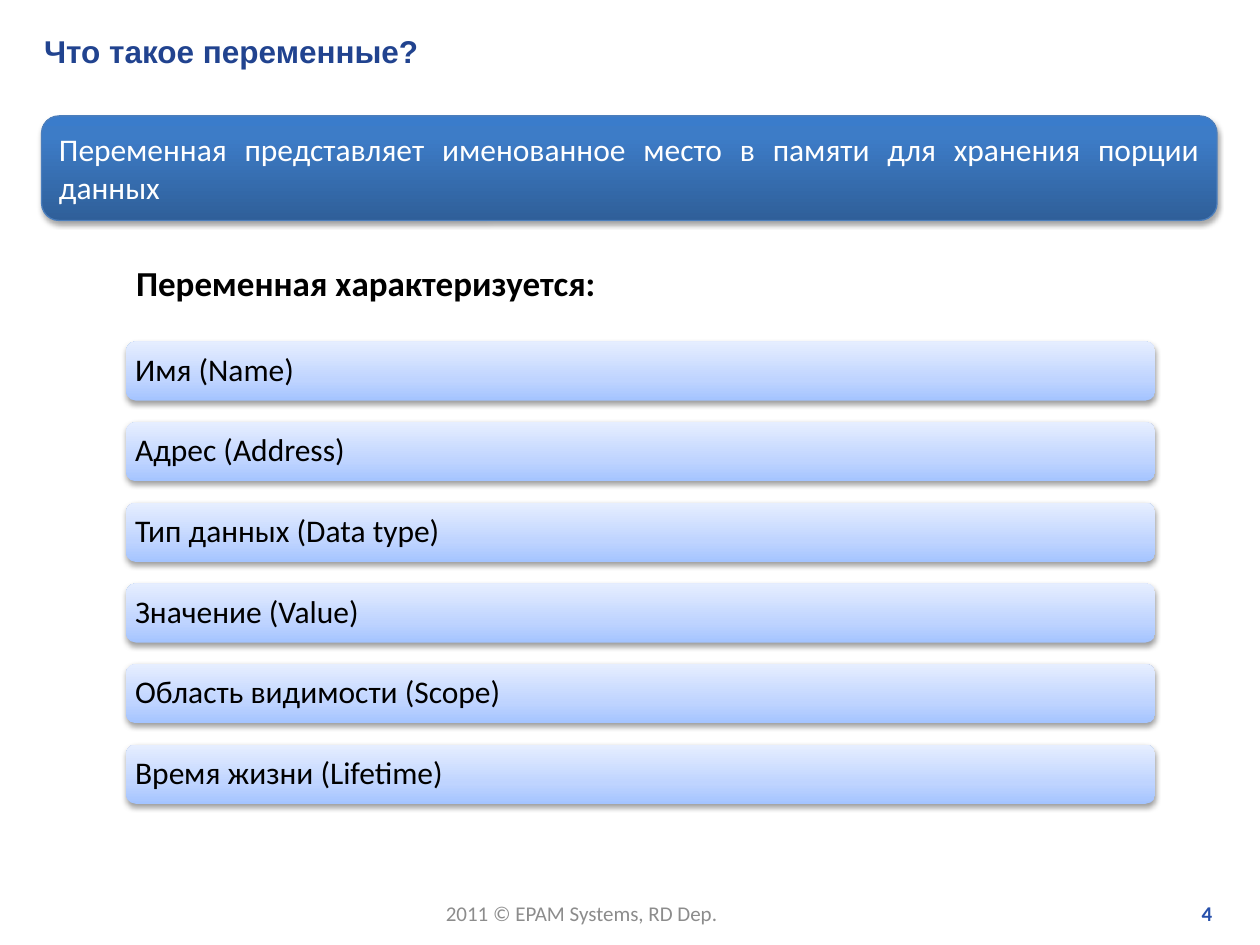
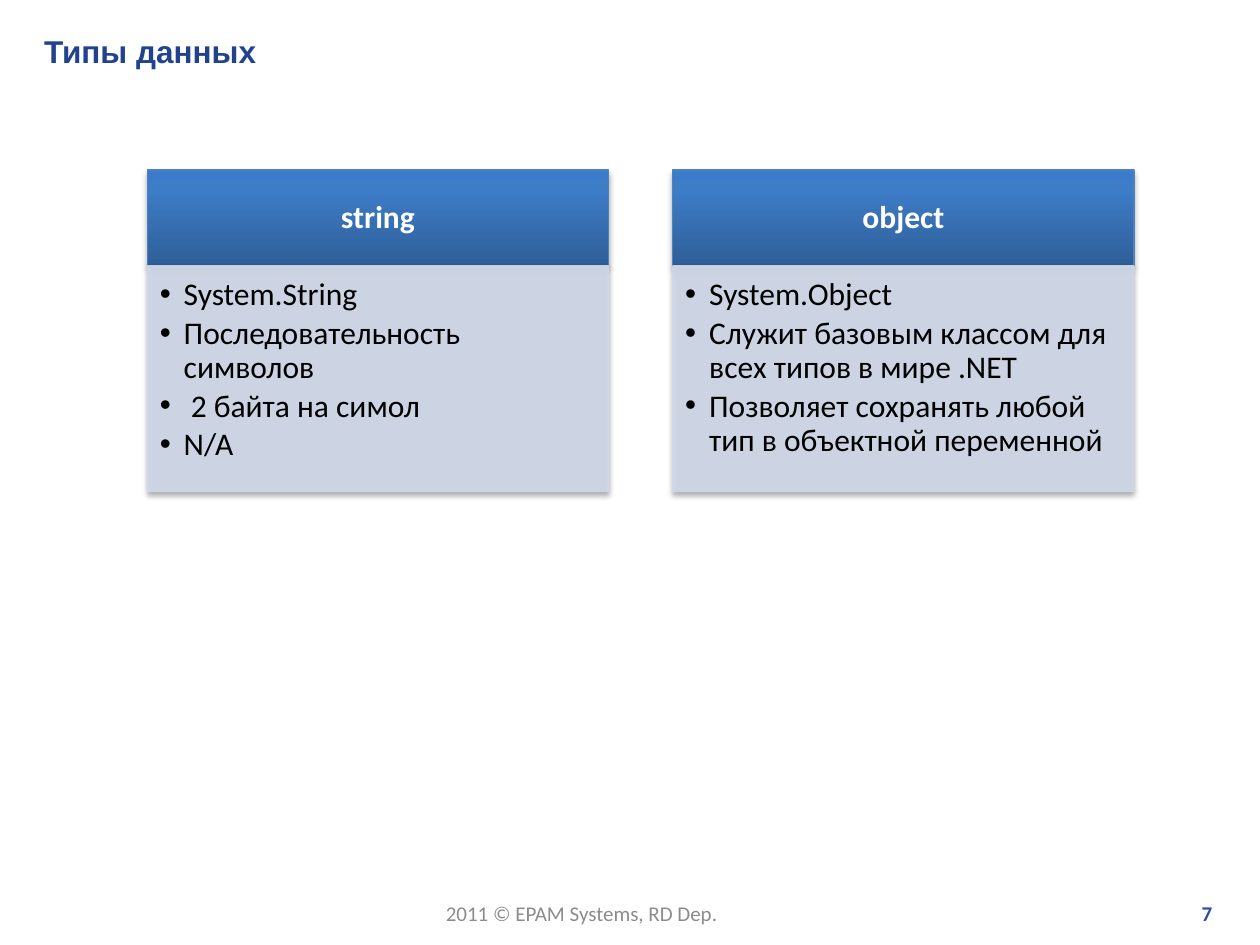
from dataclasses import dataclass

from lxml import etree
from pptx import Presentation
from pptx.dml.color import RGBColor
from pptx.enum.shapes import MSO_SHAPE
from pptx.enum.text import MSO_ANCHOR, PP_ALIGN
from pptx.oxml.ns import qn
from pptx.util import Inches, Pt

RECTANGLE, ROUNDED = MSO_SHAPE.RECTANGLE, MSO_SHAPE.ROUNDED_RECTANGLE
TOP, MIDDLE = MSO_ANCHOR.TOP, MSO_ANCHOR.MIDDLE
LEFT, CENTER, RIGHT, JUSTIFY = PP_ALIGN.LEFT, PP_ALIGN.CENTER, PP_ALIGN.RIGHT, PP_ALIGN.JUSTIFY
TITLE_ONLY = 5


@dataclass(frozen=True)
class Theme:
    title_font: str = "Arial"
    body_font: str = "Calibri"
    title_color: str = "21438F"
    page_color: str = "2750AB"
    footer_color: str = "8C8C8C"
    dark: str = "000000"
    light: str = "FFFFFF"
    definition_line: str = "4B7EBC"
    header_line: str = "4F81BD"
    panel: str = "D0D8E8"
    panel_opacity: int = 90
    blue_gradient: tuple = ((0, "2F5F99"), (80, "3D7CC7"), (100, "3A7CCB"))
    pale_gradient: tuple = ((0, "A4C4FF"), (35, "BFD4FF"), (100, "E6EEFF"))
    body_size: float = 18
    heading_size: float = 20
    footer_size: float = 12
    line_width: float = 0.75
    line_spacing: float = 0.9
    bullet_gap: float = 2.7
    bullet_indent: float = 0.19


THEME = Theme()
FOOTER_TEXT = "2011 © EPAM Systems, RD Dep."
DEFAULT_INSETS = (0.1, 0.05, 0.1, 0.05)


def add_color(parent, color, opacity=100):
    element = etree.SubElement(parent, qn("a:srgbClr"), val=color)
    if opacity < 100:
        etree.SubElement(element, qn("a:alpha"), val=str(opacity * 1000))


def fill_gradient(shape, stops):
    """Fill from bottom to top with (percent, colour) stops."""
    shape.fill.gradient()
    shape.fill.gradient_angle = 90
    stop_list = shape._element.spPr.find(".//" + qn("a:gsLst"))
    for stop in list(stop_list):
        stop_list.remove(stop)
    for percent, color in stops:
        add_color(etree.SubElement(stop_list, qn("a:gs"), pos=str(percent * 1000)), color)


def fill_solid(fill_format, owner, color, opacity):
    fill_format.solid()
    fill_format.fore_color.rgb = RGBColor.from_string(color)
    solid = owner.find(qn("a:solidFill"))
    solid.clear()
    add_color(solid, color, opacity)


def add_shadow(shape, opacity):
    shape.shadow.inherit = False
    effects = shape._element.spPr.find(qn("a:effectLst"))
    shadow = etree.SubElement(
        effects, qn("a:outerShdw"), blurRad=str(Pt(3.1)), dist=str(Pt(1.8)),
        dir="5400000", rotWithShape="0")
    add_color(shadow, THEME.dark, opacity)


def add_block(slide, kind, box, line=None, gradient=None, shadow_opacity=35):
    shape = slide.shapes.add_shape(kind, *map(Inches, box))
    if gradient:
        fill_gradient(shape, gradient)
    if line:
        shape.line.color.rgb = RGBColor.from_string(line)
        shape.line.width = Pt(THEME.line_width)
    else:
        shape.line.fill.background()
    add_shadow(shape, shadow_opacity)
    return shape


def add_bullet(paragraph):
    properties = paragraph._p.get_or_add_pPr()
    indent = Inches(THEME.bullet_indent)
    properties.set("marL", str(indent))
    properties.set("indent", str(-indent))
    etree.SubElement(properties, qn("a:buFont"), typeface=THEME.title_font)
    etree.SubElement(properties, qn("a:buChar"), char="•")


def write(shape, lines, color=THEME.dark, size=THEME.body_size, bold=False,
          font=THEME.body_font, align=LEFT, anchor=MIDDLE, insets=DEFAULT_INSETS,
          spacing=None, bullets=False, wrap=True):
    frame = shape.text_frame
    frame.word_wrap = wrap
    frame.vertical_anchor = anchor
    (frame.margin_left, frame.margin_top,
     frame.margin_right, frame.margin_bottom) = map(Inches, insets)
    frame.text = "\n".join(lines)
    for paragraph in frame.paragraphs:
        if bullets:
            add_bullet(paragraph)
            paragraph.space_after = Pt(THEME.bullet_gap)
        paragraph.alignment = align
        paragraph.line_spacing = spacing
        paragraph.font.name = font
        paragraph.font.size = Pt(size)
        paragraph.font.bold = bold
        paragraph.font.color.rgb = RGBColor.from_string(color)


def add_label(slide, box, text, **style):
    write(slide.shapes.add_textbox(*map(Inches, box)), [text], **style)


def add_titled_slide(presentation, title, page_number):
    """Add a slide with the shared title style, footer and page number."""
    slide = presentation.slides.add_slide(presentation.slide_layouts[TITLE_ONLY])
    placeholder = slide.shapes.title
    placeholder.left, placeholder.top = Inches(0.25), Inches(0.2)
    placeholder.width, placeholder.height = Inches(9.54), Inches(0.4)
    write(placeholder, [title], color=THEME.title_color, bold=True, font=THEME.title_font)
    add_label(slide, (3.44, 7.1, 2.39, 0.3), FOOTER_TEXT, color=THEME.footer_color,
              size=THEME.footer_size, anchor=TOP, wrap=False)
    add_label(slide, (7.6, 7.1, 2.12, 0.3), str(page_number), color=THEME.page_color,
              size=THEME.footer_size, bold=True, align=RIGHT, anchor=TOP)
    return slide


def add_definition(slide, box, text):
    banner = add_block(slide, ROUNDED, box, THEME.definition_line, THEME.blue_gradient)
    write(banner, [text], color=THEME.light, align=JUSTIFY)


def add_characteristics(slide, box, heading, names):
    """Stack a heading and one bar per name, evenly spread over the box."""
    left, top, width, height = box
    heading_height, first_bar, bar_height = 0.6, 0.75, 0.47
    add_label(slide, (left, top, width, heading_height), heading, size=THEME.heading_size,
              bold=True, insets=(0.08,) * 4, spacing=THEME.line_spacing)
    pitch = (height - first_bar - bar_height) / (len(names) - 1)
    for index, name in enumerate(names):
        bar_box = (left, top + first_bar + index * pitch, width, bar_height)
        bar = add_block(slide, ROUNDED, bar_box, gradient=THEME.pale_gradient,
                        shadow_opacity=38)
        write(bar, [name], insets=(0.05,) * 4, spacing=THEME.line_spacing)


def add_type_card(slide, box, type_name, facts):
    left, top, width, height = box
    header_height = 0.76
    header = add_block(slide, RECTANGLE, (left, top, width, header_height),
                       THEME.header_line, THEME.blue_gradient)
    write(header, [type_name], color=THEME.light, bold=True, align=CENTER,
          insets=(0.14, 0.08, 0.14, 0.08), spacing=THEME.line_spacing)
    panel = add_block(slide, RECTANGLE,
                      (left, top + header_height, width, height - header_height), THEME.panel)
    properties = panel._element.spPr
    fill_solid(panel.fill, properties, THEME.panel, THEME.panel_opacity)
    fill_solid(panel.line.fill, properties.find(qn("a:ln")), THEME.panel, THEME.panel_opacity)
    write(panel, facts, anchor=TOP, insets=(0.1, 0.1, 0.14, 0.16),
          spacing=THEME.line_spacing, bullets=True)


def add_type_cards(slide, box, cards):
    """Place the cards side by side with equal gaps."""
    left, top, width, height = box
    gap = 0.51
    card_width = (width - gap * (len(cards) - 1)) / len(cards)
    for index, (type_name, facts) in enumerate(cards.items()):
        card_left = left + index * (card_width + gap)
        add_type_card(slide, (card_left, top, card_width, height), type_name, facts)


def build_variables_slide(presentation):
    slide = add_titled_slide(presentation, "Что такое переменные?", 4)
    add_definition(slide, (0.33, 0.92, 9.33, 0.83),
                   "Переменная представляет именованное место в памяти "
                   "для хранения порции данных")
    add_characteristics(slide, (1, 1.96, 8.17, 4.42), "Переменная характеризуется:", [
        "Имя (Name)",
        "Адрес (Address)",
        "Тип данных (Data type)",
        "Значение (Value)",
        "Область видимости (Scope)",
        "Время жизни (Lifetime)",
    ])


def build_types_slide(presentation):
    slide = add_titled_slide(presentation, "Типы данных", 7)
    add_type_cards(slide, (1.17, 1.35, 7.83, 2.55), {
        "string": ["System.String", "Последовательность символов",
                   " 2 байта на симол", "N/A"],
        "object": ["System.Object",
                   "Служит базовым классом для всех типов в мире .NET",
                   "Позволяет сохранять любой тип в объектной переменной"],
    })


def main():
    presentation = Presentation()
    presentation.slide_width, presentation.slide_height = Inches(10), Inches(7.5)
    build_variables_slide(presentation)
    build_types_slide(presentation)
    presentation.save("out.pptx")


if __name__ == "__main__":
    main()
